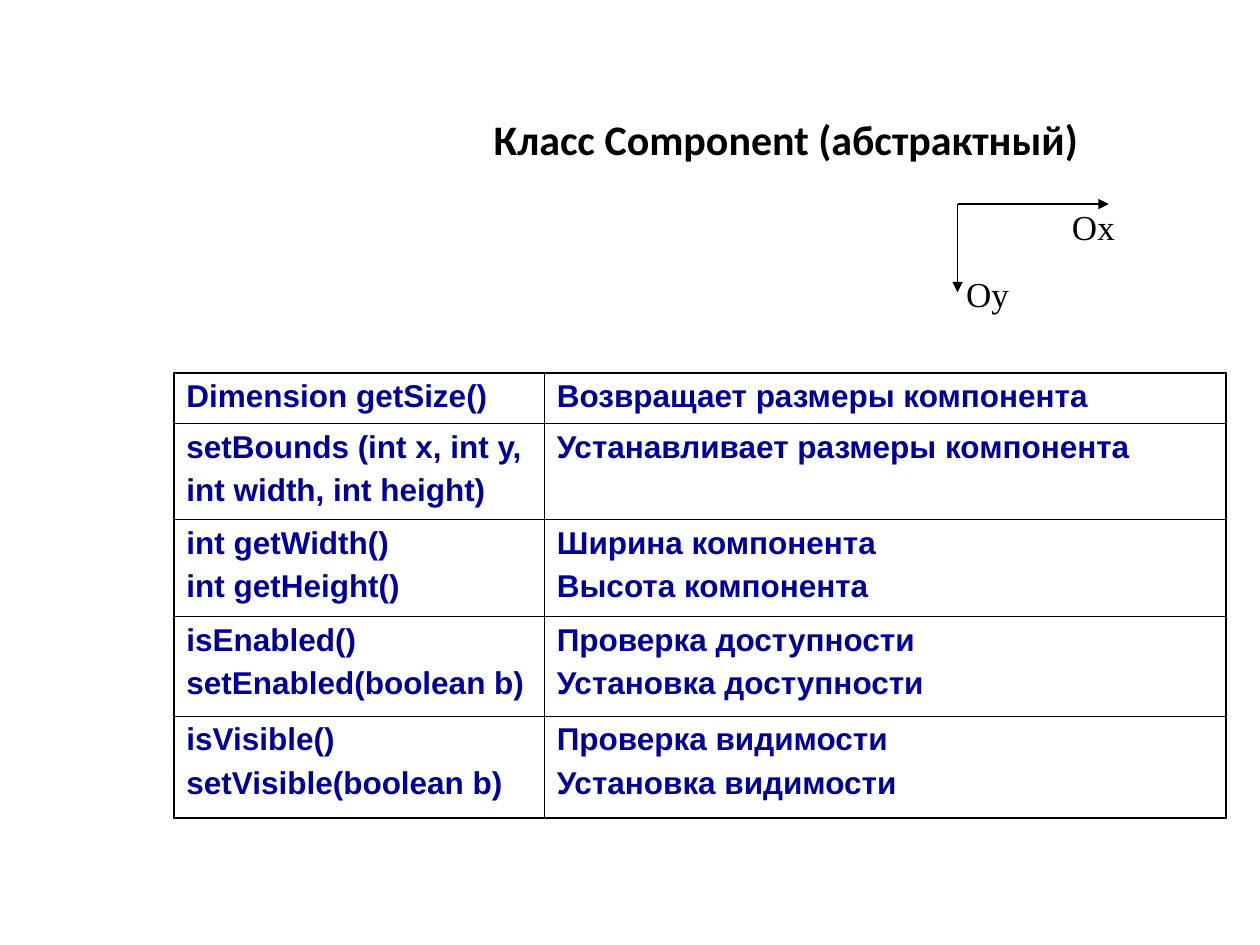
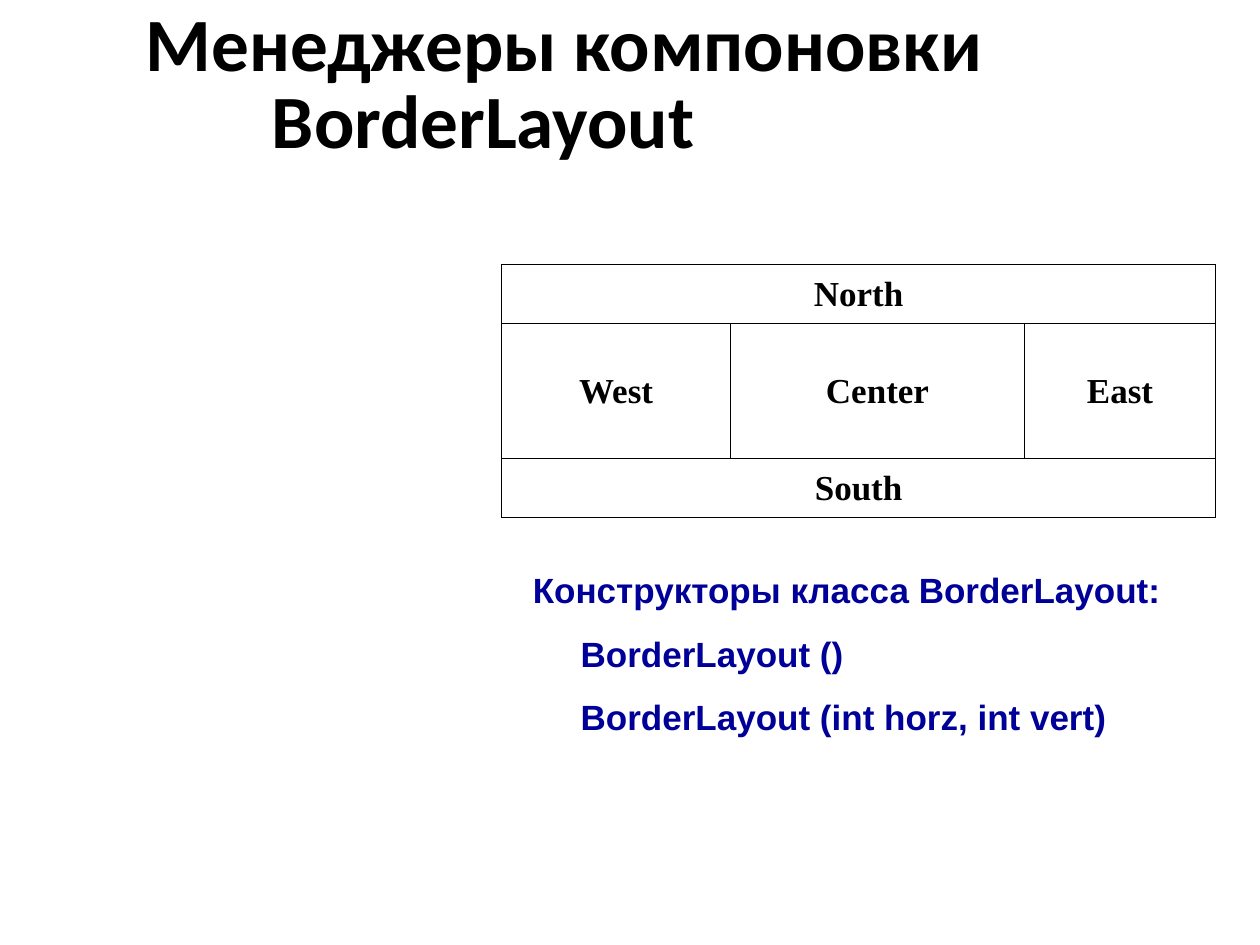
import pptx
import pptx.dml.color
import pptx.enum.shapes
import pptx.enum.text
import pptx.oxml.ns
import pptx.util
from lxml import etree

GRID = pptx.util.Inches(0.1)
BLACK, NAVY = "000000", "000099"
SERIF, SANS, HEADING = "Times New Roman", "Arial", "Calibri"
THIN, THICK = 0.45, 1.08
ALIGN = pptx.enum.text.PP_ALIGN
ANCHOR = pptx.enum.text.MSO_ANCHOR
qn = pptx.oxml.ns.qn


def ink(hex_value):
    return pptx.dml.color.RGBColor.from_string(hex_value)


def write(frame, text, font, size, color=BLACK, bold=True, align=ALIGN.LEFT,
          anchor=ANCHOR.TOP, before=0, spacing=None, indent=0):
    frame.word_wrap = True
    frame.vertical_anchor = anchor
    for number, line in enumerate(text.split("\n")):
        paragraph = frame.add_paragraph() if number else frame.paragraphs[0]
        paragraph.alignment = align
        paragraph.line_spacing = spacing
        if number:
            paragraph.space_before = pptx.util.Pt(before)
            if indent:
                paragraph._p.get_or_add_pPr().set("marL", str(round(indent * GRID)))
        run = paragraph.add_run()
        run.text = line
        run.font.name = font
        run.font.size = pptx.util.Pt(size)
        run.font.bold = bold
        run.font.color.rgb = ink(color)


deck = pptx.Presentation()
deck.slide_width, deck.slide_height = 100 * GRID, 75 * GRID
component, layout = [deck.slides.add_slide(deck.slide_layouts[6]) for _ in range(2)]

title_style = dict(font=HEADING, anchor=ANCHOR.BOTTOM, spacing=0.85, indent=10)
axis_style = dict(font=SERIF, size=20, bold=False)
constructors = "Конструкторы класса BorderLayout:\nBorderLayout ()\nBorderLayout (int horz, int vert)"

texts = [
    (component, 38.2, 5.2, 59.2, 8.3, "Класс Component (абстрактный)", dict(title_style, size=24)),
    (component, 84.1, 15.8, 6, 4.1, "Ox", axis_style),
    (component, 75.7, 21.1, 6, 4.1, "Oy", axis_style),
    (layout, 10.6, 5.2, 86.7, 8.3, "Менеджеры компоновки\nBorderLayout", dict(title_style, size=43)),
    (layout, 41.3, 44.6, 52.8, 14.5, constructors,
     dict(font=SANS, size=20, color=NAVY, before=12.5, indent=3.8)),
]
for slide, left, top, width, height, text, style in texts:
    box = slide.shapes.add_textbox(*[round(n * GRID) for n in (left, top, width, height)])
    write(box.text_frame, text, **style)

origin = (76, 16.2)
for tip in [(88, 16.2), (76, 23.2)]:
    axis = component.shapes.add_connector(
        pptx.enum.shapes.MSO_CONNECTOR.STRAIGHT, *[round(n * GRID) for n in origin + tip])
    axis.line.color.rgb = ink(BLACK)
    axis.line.width = pptx.util.Pt(0.75)
    etree.SubElement(axis.line._get_or_add_ln(), qn("a:tailEnd"), type="triangle")
    etree.SubElement(axis._element.spPr, qn("a:effectLst"))

methods = [
    ["Dimension getSize()", "Возвращает размеры компонента"],
    ["setBounds (int x, int y,\nint width, int height)", "Устанавливает размеры компонента"],
    ["int getWidth()\nint getHeight()", "Ширина компонента\nВысота компонента"],
    ["isEnabled()\nsetEnabled(boolean b)", "Проверка доступности\nУстановка доступности"],
    ["isVisible()\nsetVisible(boolean b)", "Проверка видимости\nУстановка видимости"],
]
regions = [["North"], ["West", "Center", "East"], ["South"]]

tables = [
    (component, 13.8, 29.6, [29.4, 54.1], [4, 7.6, 7.7, 7.9, 8.1], methods, THICK,
     dict(font=SANS, size=18, color=NAVY, before=4.5)),
    (layout, 39.8, 21, [18.2, 23.3, 15.2], [4.7, 10.7, 4.7], regions, THIN,
     dict(font=SERIF, size=20, align=ALIGN.CENTER, anchor=ANCHOR.MIDDLE)),
]
for slide, left, top, widths, heights, content, frame_width, style in tables:
    area = [round(n * GRID) for n in (left, top, sum(widths), sum(heights))]
    table = slide.shapes.add_table(len(heights), len(widths), *area).table
    table.first_row = table.horz_banding = False
    for column, width in zip(table.columns, widths):
        column.width = round(width * GRID)
    last_row, last_column = len(heights) - 1, len(widths) - 1
    for r, height in enumerate(heights):
        table.rows[r].height = round(height * GRID)
        if len(content[r]) == 1:
            table.cell(r, 0).merge(table.cell(r, last_column))
        for c in range(len(widths)):
            cell = table.cell(r, c)
            edges = {"L": c == 0, "R": c == last_column, "T": r == 0, "B": r == last_row}
            for side, outer in edges.items():
                weight = pptx.util.Pt(frame_width if outer else THIN)
                border = etree.SubElement(cell._tc.get_or_add_tcPr(), qn("a:ln" + side), w=str(weight))
                solid = etree.SubElement(border, qn("a:solidFill"))
                etree.SubElement(solid, qn("a:srgbClr"), val=BLACK)
            cell.fill.background()
            cell.margin_left = cell.margin_right = GRID
            cell.margin_top = cell.margin_bottom = GRID // 2
            if c < len(content[r]):
                write(cell.text_frame, content[r][c], **style)
                cell.vertical_anchor = style.get("anchor", ANCHOR.TOP)

deck.save("out.pptx")
